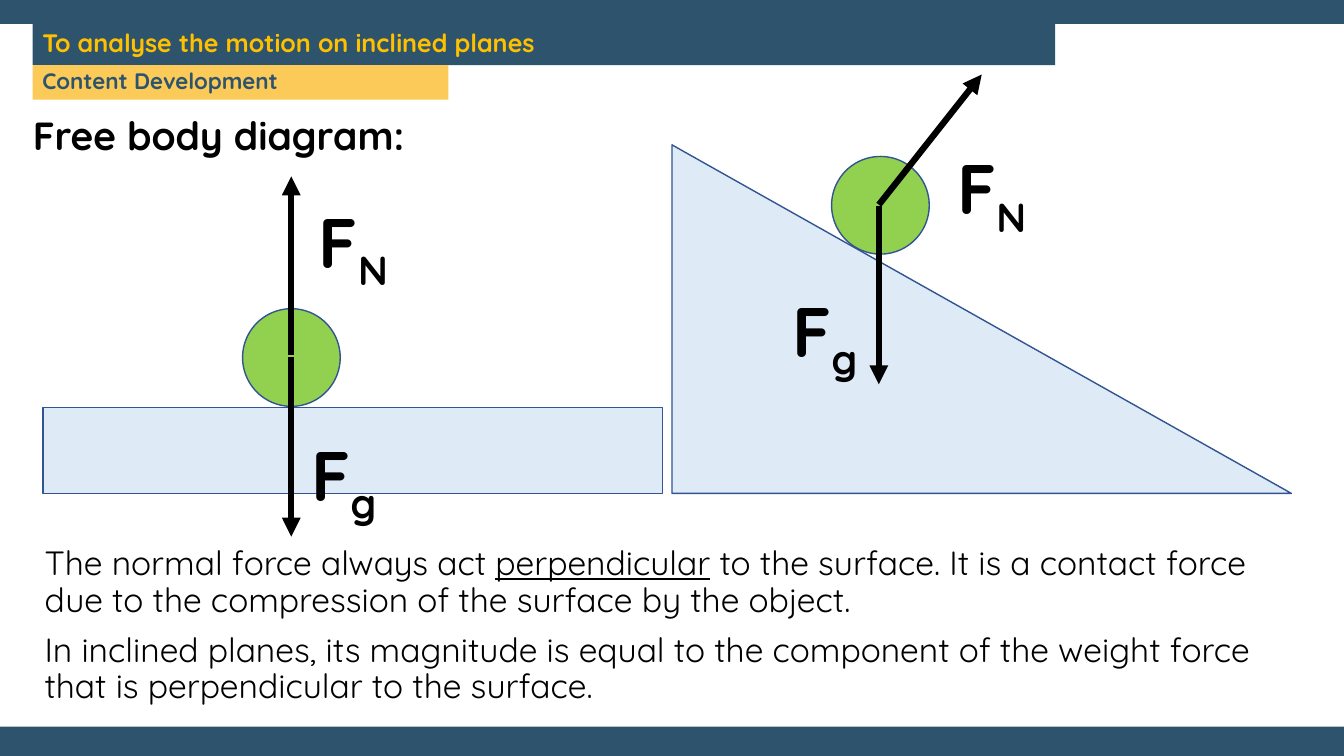
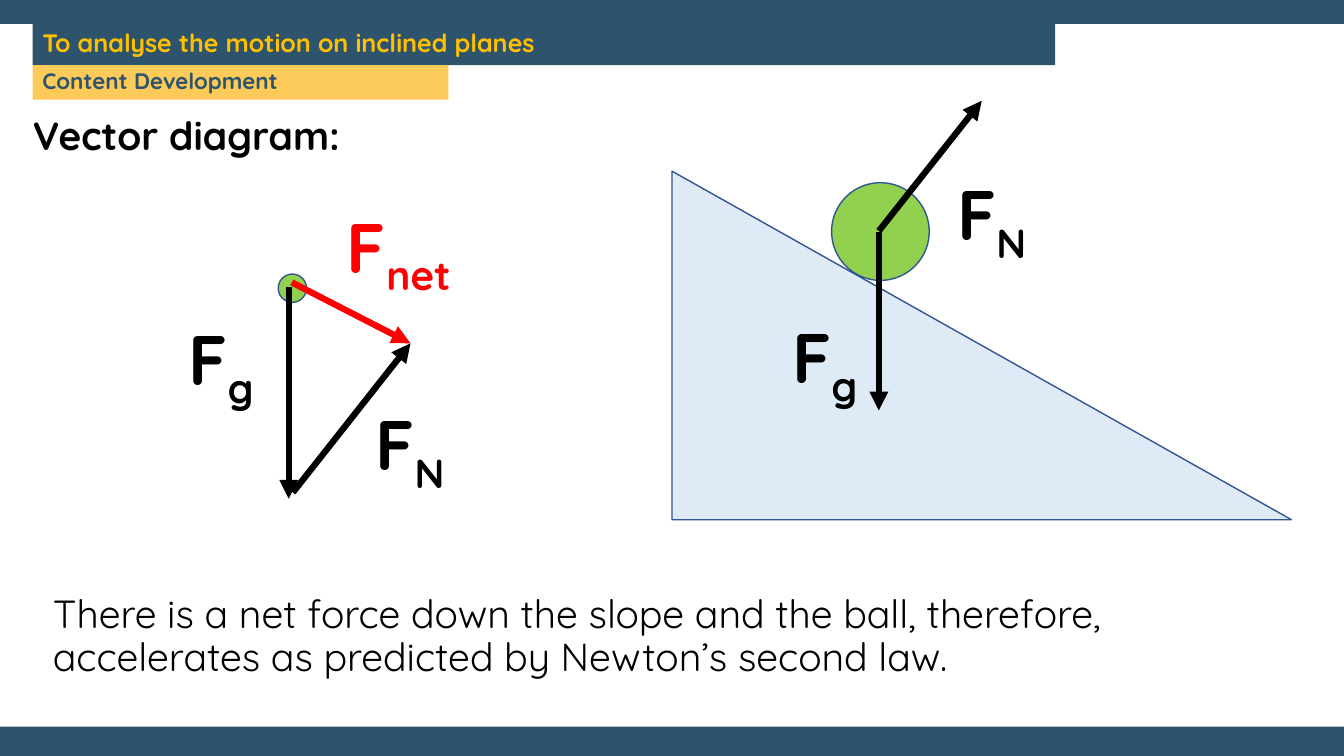
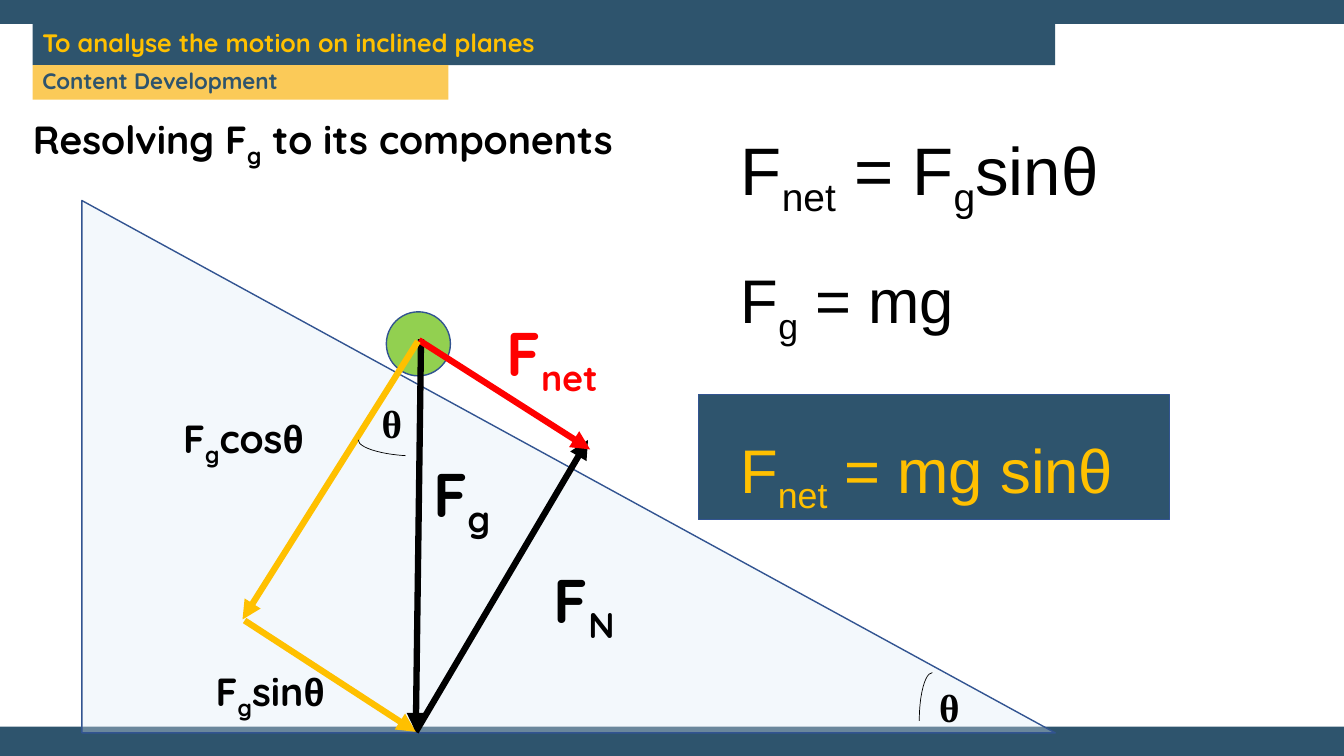
from lxml import etree
from pptx import Presentation
from pptx.dml.color import RGBColor
from pptx.enum.shapes import MSO_CONNECTOR, MSO_SHAPE
from pptx.enum.text import MSO_ANCHOR, PP_ALIGN
from pptx.oxml.ns import qn
from pptx.util import Inches, Pt

COLUMNS, ROWS = 64, 36
SLIDE_WIDTH, SLIDE_HEIGHT = Inches(13.333), Inches(7.5)
COLORS = {
    "navy": "2E546D", "white": "FFFFFF", "black": "000000", "red": "FF0000",
    "gold": "FFC000", "amber": "FBCA58", "plane": "DEEBF7", "ball": "92D050",
    "outline": "325491",
}
FONT = "Quicksand"
THETA_FONTS = {FONT: "Arial"}
LINE_SPACING, PARAGRAPH_GAP = 0.9, Pt(10)


def color(name):
    return RGBColor.from_string(COLORS[name])


def column(value):
    return round(SLIDE_WIDTH * value / COLUMNS)


def row(value):
    return round(SLIDE_HEIGHT * value / ROWS)


def place(left, top, width, height):
    return column(left), row(top), column(width), row(height)


def add_run(paragraph, text, size, ink, font, bold):
    run = paragraph.add_run()
    run.text = text
    run.font.size, run.font.name, run.font.bold = Pt(size), font, bold
    run.font.color.rgb = color(ink)
    return run


def write(shape, lines, size, ink="black", font=FONT, bold=False, mark="subscript",
          spacing=LINE_SPACING):
    """Fill a shape with paragraphs; text between underscores gets the mark."""
    frame = shape.text_frame
    for index, line in enumerate(lines):
        paragraph = frame.paragraphs[0] if index == 0 else frame.add_paragraph()
        paragraph.alignment = PP_ALIGN.LEFT
        paragraph.line_spacing = spacing
        if index:
            paragraph.space_before = PARAGRAPH_GAP
        for part, text in enumerate(line.split("_")):
            plain, theta, _ = text.partition("θ")
            if plain:
                run = add_run(paragraph, plain, size, ink, font, bold)
                if part % 2 and mark == "subscript":
                    run._r.get_or_add_rPr().set("baseline", "-25000")
                elif part % 2:
                    run.font.underline = True
            if theta:
                add_run(paragraph, theta, size, ink, THETA_FONTS.get(font, font), bold)


def add_shape(slide, kind, box, fill=None, line=None, width=1):
    shape = slide.shapes.add_shape(kind, *place(*box))
    shape.shadow.inherit = False
    if fill:
        shape.fill.solid()
        shape.fill.fore_color.rgb = color(fill)
    else:
        shape.fill.background()
    if line:
        shape.line.color.rgb = color(line)
        shape.line.width = Pt(width)
    else:
        shape.line.fill.background()
    return shape


def add_text(slide, lines, box, size, **style):
    shape = slide.shapes.add_textbox(*place(*box))
    shape.text_frame.word_wrap = True
    write(shape, lines, size, **style)


def add_label(slide, text, left, top, size=50, ink="black", font=FONT, bold=True):
    add_text(slide, [text], (left, top, 20, 4), size, ink=ink, font=font, bold=bold,
             spacing=1.0)


def add_bar(slide, text, box, fill, ink, size, anchor):
    bar = add_shape(slide, MSO_SHAPE.RECTANGLE, box, fill)
    bar.text_frame.word_wrap = True
    bar.text_frame.vertical_anchor = anchor
    write(bar, [text], size, ink=ink, bold=True)


def add_arrow(slide, start, end, ink="black"):
    arrow = slide.shapes.add_connector(
        MSO_CONNECTOR.STRAIGHT, column(start[0]), row(start[1]), column(end[0]), row(end[1]))
    arrow.line.color.rgb = color(ink)
    arrow.line.width = Pt(4.5)
    etree.SubElement(arrow.line._get_or_add_ln(), qn("a:tailEnd"), type="triangle")
    etree.SubElement(arrow._element.spPr, qn("a:effectLst"))


def add_ball(slide, left, top, diameter):
    add_shape(slide, MSO_SHAPE.OVAL, (left, top, diameter, diameter), "ball", "outline")


def add_incline(slide, box, opacity=None):
    incline = add_shape(slide, MSO_SHAPE.ISOSCELES_TRIANGLE, box, "plane", "outline")
    incline.adjustments[0] = 0
    if opacity:
        fill = incline._element.spPr.find(qn("a:solidFill"))
        etree.SubElement(fill[0], qn("a:alpha"), val=str(opacity * 1000))


def add_angle(slide, arc_box, rotation, left, top):
    arc = add_shape(slide, MSO_SHAPE.ARC, arc_box, line="black", width=0.5)
    arc.rotation = rotation
    add_label(slide, "θ", left, top, 28, font="Times New Roman")


def add_ball_on_incline(slide, top):
    """Draw the incline, its ball and both forces below the given row."""
    add_incline(slide, (32, top, 29.5, 16.6))
    add_ball(slide, 39.6, top + 0.55, 4.65)
    add_arrow(slide, (41.85, top + 2.9), (41.85, top + 11.4))
    add_arrow(slide, (41.85, top + 2.85), (46.75, top - 3.35))
    add_label(slide, "F_g_", 37.25, top + 6.55)
    add_label(slide, "F_N_", 45.1, top - 0.25)


def start_slide(presentation, heading):
    slide = presentation.slides.add_slide(presentation.slide_layouts[6])
    slide.background.fill.solid()
    slide.background.fill.fore_color.rgb = color("navy")
    add_shape(slide, MSO_SHAPE.RECTANGLE, (0, 1.15, COLUMNS, 33.45), "white")
    add_bar(slide, "To analyse the motion on inclined planes", (1.55, 1.15, 48.7, 1.95),
            "navy", "gold", 18, MSO_ANCHOR.MIDDLE)
    add_bar(slide, "Content Development", (1.55, 3.1, 19.8, 1.65),
            "amber", "navy", 16, MSO_ANCHOR.TOP)
    add_text(slide, [heading], (1.1, 5.3, 60.75, 4.65), 28, bold=True)
    return slide


def build_free_body(presentation):
    slide = start_slide(presentation, "Free body diagram:")
    add_ball_on_incline(slide, 6.9)
    add_shape(slide, MSO_SHAPE.RECTANGLE, (2.05, 19.4, 29.5, 4.1), "plane", "outline")
    add_ball(slide, 11.55, 14.7, 4.65)
    add_arrow(slide, (13.87, 17), (13.87, 25.55))
    add_arrow(slide, (13.87, 16.9), (13.87, 8.4))
    add_label(slide, "F_g_", 14.35, 20.3)
    add_label(slide, "F_N_", 14.7, 9.2)
    add_text(slide, [
        "The normal force always act _perpendicular_ to the surface. It is a contact force "
        "due to the compression of the surface by the object.",
        "In inclined planes, its magnitude is equal to the component of the weight force "
        "that is perpendicular to the surface.",
    ], (1.65, 25.8, 60.75, 4.65), 24, mark="underline")


def build_vectors(presentation):
    slide = start_slide(presentation, "Vector diagram:")
    add_ball_on_incline(slide, 8.15)
    add_ball(slide, 13.25, 13.05, 1.35)
    net_tip = (19.55, 16.35)
    add_arrow(slide, (13.75, 13.65), (13.75, 23.75))
    add_arrow(slide, (13.95, 23.45), net_tip)
    add_arrow(slide, (13.9, 13.45), net_tip, "red")
    add_label(slide, "F_N_", 17.4, 18.85)
    add_label(slide, "F_net_", 16.05, 9.45, ink="red")
    add_label(slide, "F_g_", 8.5, 14.8)
    add_text(slide, [
        "There is a net force down the slope and the ball, therefore, "
        "accelerates as predicted by Newton’s second law.",
    ], (2.05, 28.1, 60.75, 4.65), 28)


def build_components(presentation):
    slide = start_slide(presentation, "Resolving F_g_ to its components")
    add_incline(slide, (3.9, 9.55, 46.35, 25.35), opacity=34)
    add_ball(slide, 18.4, 14.85, 3.05)
    weight_tip = (19.8, 34.85)
    for start, end, ink in (
        ((20.05, 16.15), weight_tip, "black"),
        (weight_tip, (28, 20.95), "black"),
        ((19.95, 16.2), (28.1, 21.4), "red"),
        ((19.9, 16.25), (11.55, 29.5), "gold"),
        ((11.65, 29.55), weight_tip, "gold"),
    ):
        add_arrow(slide, start, end, ink)
    for text, left, top, size, ink in (
        ("F_N_", 25.9, 26.5, 44, "black"),
        ("F_net_", 23.65, 14.75, 44, "red"),
        ("F_g_", 20.15, 21.45, 44, "black"),
        ("F_g_cosθ", 8.25, 19.5, 28, "black"),
        ("F_g_sinθ", 9.8, 31.55, 28, "black"),
    ):
        add_label(slide, text, left, top, size, ink)
    add_angle(slide, (17.05, 20.45, 4.6, 1.25), 183.3, 17.7, 18.8)
    add_angle(slide, (42.1, 33.7, 4.6, 1.25), 270, 44.25, 32.3)

    add_label(slide, "F_net_ = F_g_sinθ", 34.8, 5.85, 48, font="Arial", bold=False)
    add_text(slide, ["F_g_ = mg"], (34.8, 12.3, 24.65, 4.65), 44, font="Arial")
    result = add_shape(slide, MSO_SHAPE.RECTANGLE, (33.25, 18.8, 22.45, 5.95),
                       "navy", "outline")
    frame = result.text_frame
    frame.vertical_anchor = MSO_ANCHOR.TOP
    frame.margin_left, frame.margin_top = column(2), row(1.8)
    write(result, ["F_net_ = mg sinθ"], 44, ink="gold", font="Arial")


def main():
    presentation = Presentation()
    presentation.slide_width, presentation.slide_height = SLIDE_WIDTH, SLIDE_HEIGHT
    build_free_body(presentation)
    build_vectors(presentation)
    build_components(presentation)
    presentation.save("out.pptx")


if __name__ == "__main__":
    main()
